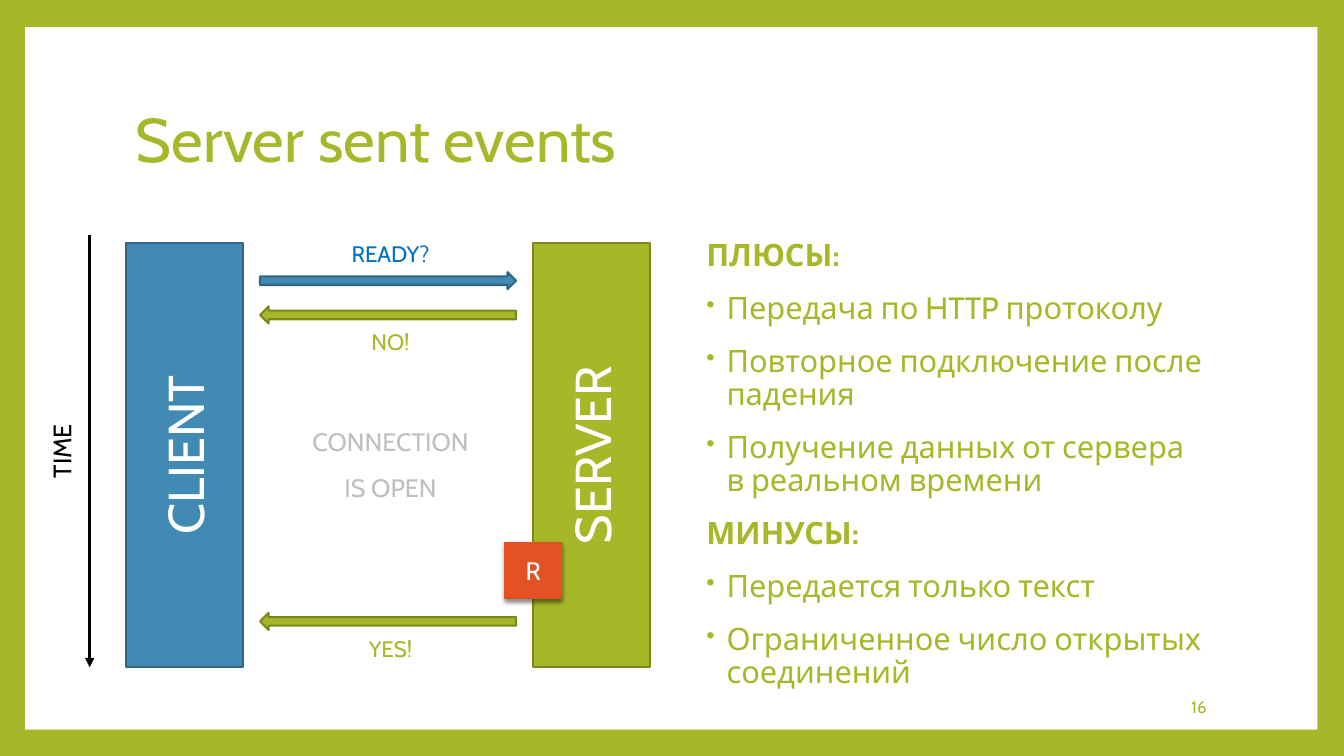
from lxml.etree import SubElement
from pptx import Presentation
from pptx.dml.color import RGBColor
from pptx.enum.shapes import MSO_CONNECTOR, MSO_SHAPE as SHAPE
from pptx.enum.text import MSO_ANCHOR as ANCHOR, PP_ALIGN as ALIGN
from pptx.oxml import parse_xml
from pptx.oxml.ns import nsdecls, qn
from pptx.util import Pt

GREEN, BLUE, WHITE, BLACK = "A6B727", "418AB3", "FFFFFF", "000000"
EDGES = {GREEN: "7B871D", BLUE: "306684"}
LABEL_INDENT = (3.6, 0)
BULLET_INDENT = (18, -14.4)
BODY = dict(line_spacing=0.9, space_before=Pt(14))

PROS_AND_CONS = {
    "ПЛЮСЫ:": [
        "Передача по HTTP протоколу",
        "Повторное подключение после падения",
        "Получение данных от сервера в реальном времени",
    ],
    "МИНУСЫ:": [
        "Передается только текст",
        "Ограниченное число открытых соединений",
    ],
}


def rgb(color):
    return RGBColor.from_string(color)


def set_all(obj, values):
    for name, value in values.items():
        setattr(obj, name, value)


def write(tf, text, size, color, indent=None, bullet=False, bold=False, **fmt):
    p = tf.paragraphs[0]
    if p.runs:
        p = tf.add_paragraph()
    else:
        fmt.pop("space_before", None)
    set_all(p, fmt)
    if indent:
        pPr = p._p.get_or_add_pPr()
        for name, value in zip(("marL", "indent"), indent):
            pPr.set(name, str(int(Pt(value))))
    if bullet:
        buClr = SubElement(pPr, qn("a:buClr"))
        SubElement(buClr, qn("a:srgbClr"), val=color)
        SubElement(pPr, qn("a:buSzPct"), val="80000")
        SubElement(pPr, qn("a:buChar"), char="•")
    r = p.add_run()
    r.text = text
    set_all(r.font, dict(name="Cabin", size=Pt(size), bold=bold))
    r.font.color.rgb = rgb(color)


def turn_up(tf):
    tf._txBody.bodyPr.set("vert", "vert270")


def add_text(slide, box, anchor=ANCHOR.TOP):
    tf = slide.shapes.add_textbox(*map(Pt, box)).text_frame
    set_all(tf, dict(word_wrap=True, vertical_anchor=anchor))
    return tf


def add_shape(slide, kind, box, fill, edge=None, weight=1.5):
    sp = slide.shapes.add_shape(kind, *map(Pt, box))
    sp.shadow.inherit = False
    sp.fill.solid()
    sp.fill.fore_color.rgb = rgb(fill)
    if edge:
        sp.line.color.rgb = rgb(edge)
        sp.line.width = Pt(weight)
    else:
        sp.line.fill.background()
    sp.text_frame.vertical_anchor = ANCHOR.MIDDLE
    return sp


def add_frame(slide, box):
    slide.background.fill.solid()
    slide.background.fill.fore_color.rgb = rgb(GREEN)
    add_shape(slide, SHAPE.RECTANGLE, box, WHITE)


def add_title(slide, box):
    tf = add_text(slide, box, ANCHOR.MIDDLE)
    write(tf, "Server sent events", 44, GREEN, line_spacing=0.9)


def add_party(slide, box, name, color):
    sp = add_shape(slide, SHAPE.RECTANGLE, box, color, EDGES[color])
    turn_up(sp.text_frame)
    write(sp.text_frame, name, 36, WHITE, alignment=ALIGN.CENTER)


def add_response(slide, box):
    sp = add_shape(slide, SHAPE.RECTANGLE, box, "DF5327", "DF5327", 0.79)
    stops = "".join(
        f'<a:gs pos="{pos}000"><a:srgbClr val="{color}"/></a:gs>'
        for pos, color in ((0, "DF5327"), (90, "E45122"), (100, "DB4313")))
    gradient = parse_xml(
        f'<a:gradFill {nsdecls("a")} rotWithShape="1"><a:gsLst>{stops}</a:gsLst>'
        '<a:path path="circle"><a:fillToRect l="100000" t="100000" r="100000" '
        'b="100000"/></a:path></a:gradFill>')
    spPr = sp._element.spPr
    spPr.replace(spPr.find(qn("a:solidFill")), gradient)
    shadow = SubElement(
        spPr.find(qn("a:effectLst")), qn("a:outerShdw"), blurRad=str(int(Pt(3))),
        dist=str(int(Pt(2))), dir="5400000", rotWithShape="0")
    shade = SubElement(shadow, qn("a:srgbClr"), val=BLACK)
    SubElement(shade, qn("a:alpha"), val="45000")
    write(sp.text_frame, "R", 18, WHITE, alignment=ALIGN.CENTER)


def add_exchange(slide, box):
    left, top, width, height = box
    party_w, gap, arrow_h, label_h, response = 83.52, 12.24, 12.24, 26.64, 40.32
    server = left + width - party_w
    add_party(slide, (server, top, party_w, height), "SERVER", GREEN)
    add_party(slide, (left, top, party_w, height), "CLIENT", BLUE)

    lane = left + party_w + gap
    lane_w = server - gap - lane
    messages = (
        (20.88, SHAPE.RIGHT_ARROW, BLUE, "READY?", "0070C0", -label_h),
        (45.36, SHAPE.LEFT_ARROW, GREEN, "NO!", GREEN, arrow_h),
        (264.24, SHAPE.LEFT_ARROW, GREEN, "YES!", GREEN, arrow_h),
    )
    for offset, kind, fill, label, color, shift in messages:
        y = top + offset
        add_shape(slide, kind, (lane, y, lane_w, arrow_h), fill, EDGES[fill])
        tf = add_text(slide, (lane, y + shift, lane_w, label_h))
        write(tf, label, 16, color, LABEL_INDENT, alignment=ALIGN.CENTER)

    tf = add_text(slide, (lane + 25.2, top + 129.6, lane_w - 50.4, 64))
    for line in ("CONNECTION", "IS OPEN"):
        write(tf, line, 18, "BFBFBF", LABEL_INDENT, alignment=ALIGN.CENTER, **BODY)
    add_response(slide, (server - response / 2, top + 213.84, response, response))


def add_timeline(slide, box):
    left, top, width, height = box
    x = left + width - 1.44
    line = slide.shapes.add_connector(
        MSO_CONNECTOR.STRAIGHT, *map(Pt, (x, top, x, top + height)))
    line.line.color.rgb = rgb(BLACK)
    line.line.width = Pt(2.25)
    SubElement(line.line._get_or_add_ln(), qn("a:tailEnd"), type="triangle")
    SubElement(line._element.spPr, qn("a:effectLst"))
    tf = add_text(slide, box)
    turn_up(tf)
    write(tf, "TIME", 18, BLACK, alignment=ALIGN.CENTER)


def add_pros_and_cons(slide, box):
    tf = add_text(slide, box)
    for heading, points in PROS_AND_CONS.items():
        write(tf, heading, 22, GREEN, LABEL_INDENT, bold=True, **BODY)
        for point in points:
            write(tf, point, 22, GREEN, BULLET_INDENT, bullet=True, **BODY)


def add_page_number(slide, box):
    tf = add_text(slide, box, ANCHOR.MIDDLE)
    write(tf, "16", 12, GREEN, alignment=ALIGN.RIGHT)


def main():
    prs = Presentation()
    set_all(prs, dict(slide_width=Pt(960), slide_height=Pt(540)))
    slide = prs.slides.add_slide(prs.slide_layouts[6])
    add_frame(slide, (18, 19.44, 923.04, 501.84))
    add_title(slide, (90, 48.24, 777.6, 106.56))
    add_exchange(slide, (90, 173.52, 374.4, 303.12))
    add_timeline(slide, (29.52, 167.76, 36, 308.88))
    add_pros_and_cons(slide, (493.92, 167.76, 374.4, 341.28))
    add_page_number(slide, (734.4, 490.32, 134.64, 28.8))
    prs.save("out.pptx")


if __name__ == "__main__":
    main()
